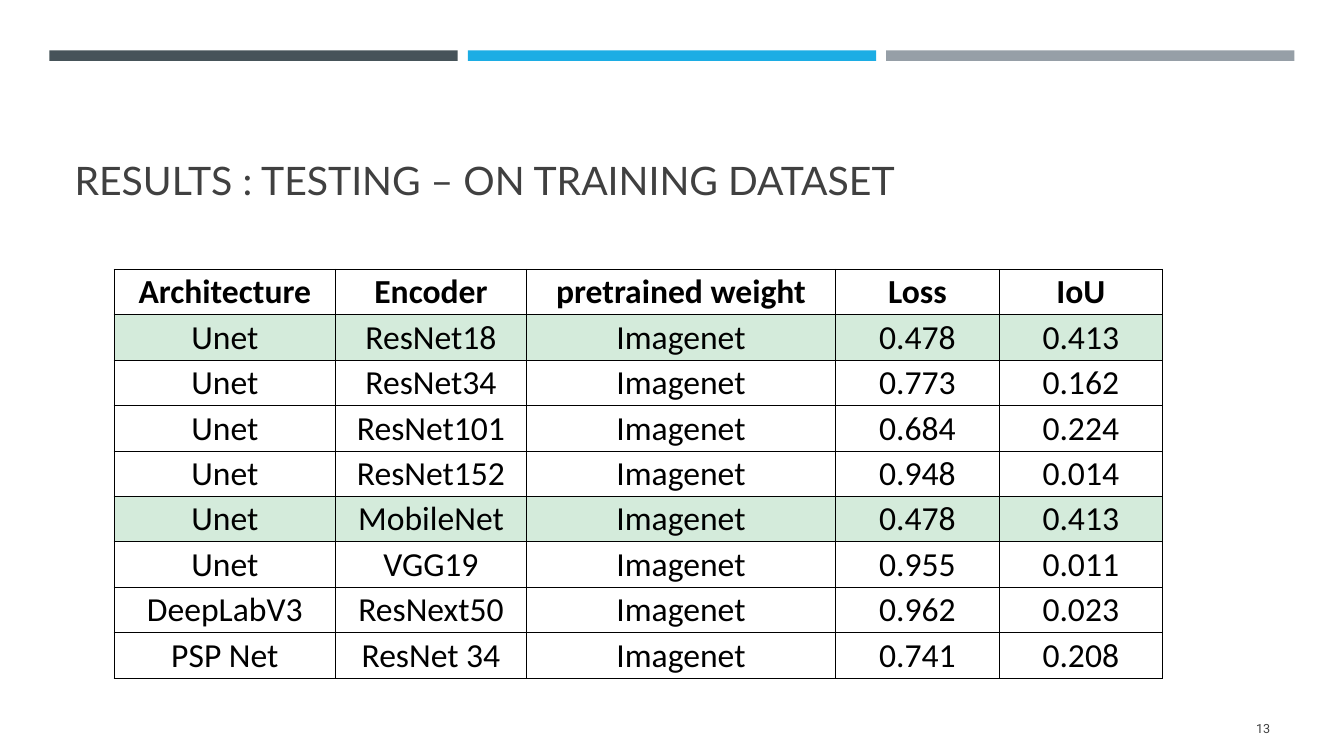
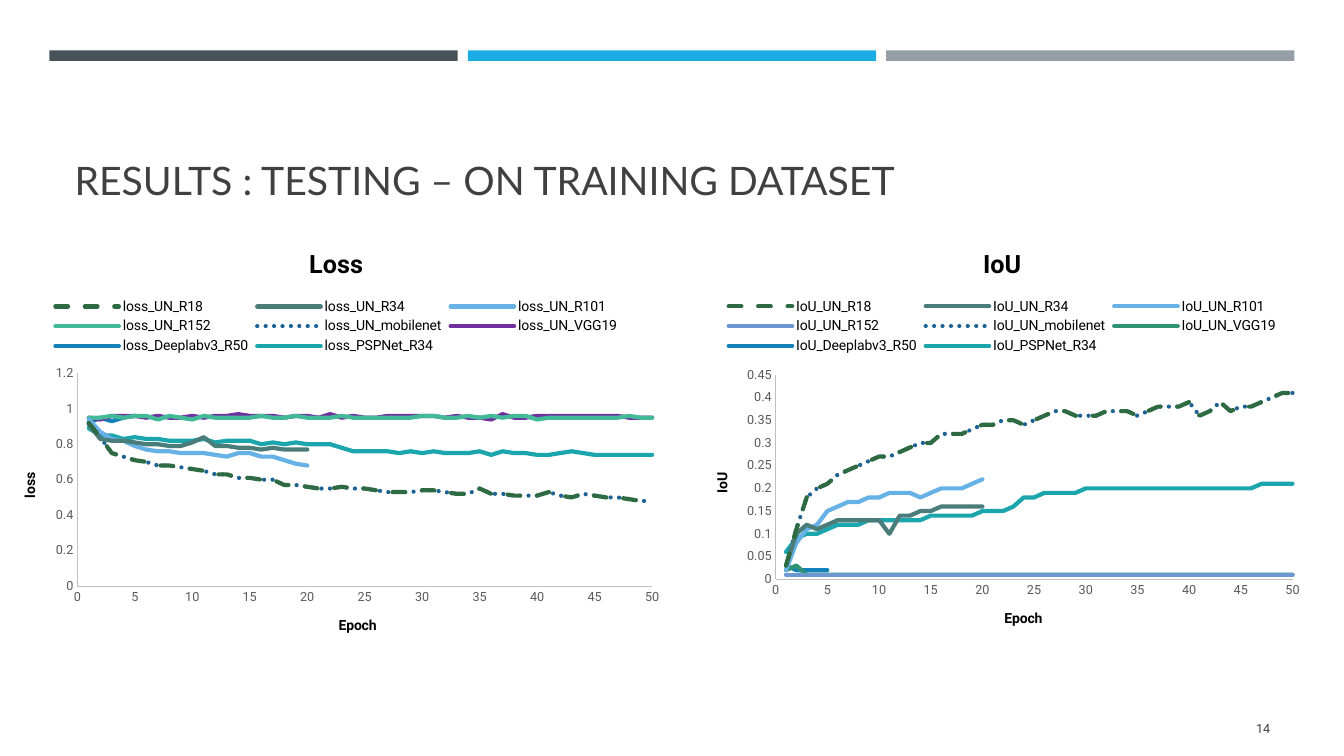
from lxml.etree import SubElement
from pptx import Presentation
from pptx.chart.data import XyChartData
from pptx.dml.color import RGBColor
from pptx.enum.chart import XL_CHART_TYPE, XL_LEGEND_POSITION, XL_TICK_MARK
from pptx.enum.dml import MSO_LINE
from pptx.enum.shapes import MSO_SHAPE
from pptx.enum.text import MSO_ANCHOR, MSO_AUTO_SIZE, PP_ALIGN
from pptx.oxml import parse_xml
from pptx.oxml.ns import nsdecls, qn
from pptx.util import Inches, Pt

TITLE = "RESULTS : TESTING – ON TRAINING DATASET"
DARK, BLACK, AXIS_TEXT, AXIS_LINE = "404040", "000000", "595959", "BFBFBF"
HIGHLIGHT = "D4EBDB"
BANDS = ["465359", "1CADE4", "969FA7"]
BAND_LEFT, BAND_STEP, BAND_WIDTH = 3.68, 31.13, 30.38

deck = Presentation()
deck.slide_width, deck.slide_height = Inches(13.33), Inches(7.5)


def paint(target, color, **values):
    """Give a shape, cell, font or line a solid colour and set its other attributes."""
    target.fill.solid()
    target.fill.fore_color.rgb = RGBColor.from_string(color)
    for name, value in values.items():
        setattr(target, name, value)


def area(left, top, width, height):
    """Turn percentages of the slide's size into lengths."""
    across, down = deck.slide_width / 100, deck.slide_height / 100
    return [int(left * across), int(top * down), int(width * across), int(height * down)]


# Shared frame of both slides
pages = []
for number in (13, 14):
    page = deck.slides.add_slide(deck.slide_layouts[5])
    pages.append(page)
    for column, color in enumerate(BANDS):
        band = page.shapes.add_shape(
            MSO_SHAPE.RECTANGLE,
            *area(BAND_LEFT + column * BAND_STEP, 6.67, BAND_WIDTH, 1.4))
        paint(band, color)
        band.line.fill.background()
        band.shadow.inherit = False

    title = page.shapes.title
    title.left, title.top, title.width, title.height = area(4.8, 10.27, 90.45, 17.33)
    footer = page.shapes.add_textbox(*area(86.62, 93.73, 8.63, 5.33))
    for box, text, anchor, alignment, font in (
        (title, TITLE, MSO_ANCHOR.BOTTOM, PP_ALIGN.LEFT, {"name": "Lato", "size": Pt(28)}),
        (footer, str(number), MSO_ANCHOR.MIDDLE, PP_ALIGN.RIGHT,
         {"name": "Roboto", "size": Pt(9)}),
    ):
        frame = box.text_frame
        frame.word_wrap, frame.auto_size = True, MSO_AUTO_SIZE.NONE
        frame.vertical_anchor = anchor
        para = frame.paragraphs[0]
        para.text, para.alignment = text, alignment
        paint(para.font, DARK, **font)

table_page, chart_page = pages

# Table of test scores
ROWS = [
    ("Architecture", "Encoder", "pretrained weight", "Loss", "IoU"),
    ("Unet", "ResNet18", "Imagenet", "0.478", "0.413"),
    ("Unet", "ResNet34", "Imagenet", "0.773", "0.162"),
    ("Unet", "ResNet101", "Imagenet", "0.684", "0.224"),
    ("Unet", "ResNet152", "Imagenet", "0.948", "0.014"),
    ("Unet", "MobileNet", "Imagenet", "0.478", "0.413"),
    ("Unet", "VGG19", "Imagenet", "0.955", "0.011"),
    ("DeepLabV3", "ResNext50", "Imagenet", "0.962", "0.023"),
    ("PSP Net", "ResNet 34", "Imagenet", "0.741", "0.208"),
]
BEST_ROWS = (1, 5)
COLUMN_SHARES = [21.15, 18.17, 29.52, 15.58, 15.58]
CELL_FORMAT = {"vertical_anchor": MSO_ANCHOR.MIDDLE, "margin_left": Inches(0.01),
               "margin_right": Inches(0.01), "margin_top": Inches(0.01), "margin_bottom": 0}

table_box = area(8.48, 35.6, 78.02, 54.13)
table = table_page.shapes.add_table(len(ROWS), len(COLUMN_SHARES), *table_box).table
table.first_row = table.horz_banding = False
for column, share in zip(table.columns, COLUMN_SHARES):
    column.width = int(table_box[2] * share / 100)
for row_index, row in enumerate(ROWS):
    for column_index, text in enumerate(row):
        cell = table.cell(row_index, column_index)
        for name, value in CELL_FORMAT.items():
            setattr(cell, name, value)
        para = cell.text_frame.paragraphs[0]
        para.text, para.alignment = text, PP_ALIGN.CENTER
        paint(para.font, BLACK, name="Calibri", size=Pt(24), bold=row_index == 0)
        properties = cell._tc.get_or_add_tcPr()
        for side in ("a:lnL", "a:lnR", "a:lnT", "a:lnB"):
            border = SubElement(properties, qn(side), w=str(Pt(0.5)))
            SubElement(SubElement(border, qn("a:solidFill")), qn("a:srgbClr"), val=BLACK)
        if row_index in BEST_ROWS:
            paint(cell, HIGHLIGHT)
        else:
            cell.fill.background()

# Training curves: one value per epoch, in hundredths
LOSS_BEST = """92 84 75 73 71 70 68 68 67 66 65 63 63 61 61 60 60 57 57 56 55 55 56 55 55
    54 53 53 53 54 54 53 52 52 55 52 52 51 51 51 53 51 50 52 51 50 50 49 48 48"""
IOU_BEST = """3 11 18 20 21 23 24 25 26 27 27 28 29 30 30 32 32 32 33 34 34 35 35 34 35
    36 37 37 36 36 36 37 37 37 36 37 38 38 38 39 36 37 39 37 38 38 39 40 41 41"""
LOSS_CURVES = [
    ("loss_UN_R18", "2F6B42", LOSS_BEST),
    ("loss_UN_R34", "4A7D79",
     "91 83 82 82 81 80 80 79 79 81 84 79 79 78 78 77 78 77 77 77"),
    ("loss_UN_R101", "66B1E6",
     "94 87 83 82 79 77 76 76 75 75 75 74 73 75 75 73 73 71 69 68"),
    ("loss_UN_R152", "42BA97",
     """95 95 96 95 96 96 94 96 95 94 96 95 95 95 95 96 95 95 96 95 95 95 96 95 95
     95 95 95 95 96 96 95 95 96 95 96 95 96 96 94 95 95 95 95 95 95 95 96 95 95"""),
    ("loss_UN_mobilenet", "1C6294", LOSS_BEST),
    ("loss_UN_VGG19", "7030A0",
     """95 94 96 96 96 95 96 95 95 96 95 96 96 97 96 96 96 95 96 96 95 97 95 96 95
     95 96 96 96 96 96 95 96 95 95 94 97 95 95 96 96 96 96 96 96 96 96 95 95 95"""),
    ("loss_Deeplabv3_R50", "1482BA", "92 95 93 95 96"),
    ("loss_PSPNet_R34", "1BA5AC",
     """89 85 85 83 84 83 83 82 82 82 83 81 82 82 82 80 81 80 81 80 80 80 78 76 76
     76 76 75 76 75 76 75 75 75 76 74 76 75 75 74 74 75 76 75 74 74 74 74 74 74"""),
]
IOU_CURVES = [
    ("IoU_UN_R18", "2F6B42", IOU_BEST),
    ("IoU_UN_R34", "4A7D79", "3 10 12 11 12 13 13 13 13 13 10 14 14 15 15 16 16 16 16 16"),
    ("IoU_UN_R101", "66B1E6", "2 8 11 12 15 16 17 17 18 18 19 19 19 18 19 20 20 20 21 22"),
    ("IoU_UN_R152", "6D97D2", "1 " * 50),
    ("IoU_UN_mobilenet", "1C6294", IOU_BEST),
    ("IoU_UN_VGG19", "2F9274", "2 3 " + "1 " * 48),
    ("IoU_Deeplabv3_R50", "1482BA", "3 2 2 2 2"),
    ("IoU_PSPNet_R34", "1BA5AC",
     "6 9 10 10 11 12 12 12 13 13 13 13 13 13 14 14 14 14 14 15 15 15 16 18 18 19 19 19 19 "
     + "20 " * 17 + "21 21 21 21"),
]
DASHES = {"R18": MSO_LINE.DASH, "mobilenet": MSO_LINE.ROUND_DOT}

# Heading, value title, slide area, plot area as shares of the chart, top value, step, curves
CHARTS = [
    ("Loss", "loss", (0, 30.27, 50.03, 56.27), (0.115, 0.34, 0.855, 0.5), 1.2, 0.2, LOSS_CURVES),
    ("IoU", "IoU", (51.54, 30.27, 46.06, 55.2), (0.134, 0.35, 0.835, 0.49), 0.45, 0.05,
     IOU_CURVES),
]
for heading, value_title, chart_box, plot_box, top_value, step, curves in CHARTS:
    chart_data = XyChartData()
    for name, color, values in curves:
        points = chart_data.add_series(name)
        for epoch, value in enumerate(values.split(), start=1):
            points.add_data_point(epoch, int(value) / 100)
    chart = chart_page.shapes.add_chart(
        XL_CHART_TYPE.XY_SCATTER_LINES_NO_MARKERS, *area(*chart_box), chart_data).chart
    paint(chart.font, BLACK, name="Roboto", size=Pt(10))

    chart.has_legend = True
    chart.legend.position = XL_LEGEND_POSITION.TOP
    chart.legend.include_in_layout = False
    paint(chart.legend.font, BLACK, name="Roboto", size=Pt(10))

    horizontal, vertical = chart.category_axis, chart.value_axis
    for owner, text, size in ((chart, heading, 18), (horizontal, "Epoch", 10),
                              (vertical, value_title, 10)):
        owner.has_title = True
        label = owner.chart_title if owner is chart else owner.axis_title
        para = label.text_frame.paragraphs[0]
        para.text = text
        paint(para.font, BLACK, name="Roboto", size=Pt(size), bold=True)

    for axis, maximum, unit in ((horizontal, 50, 5), (vertical, top_value, step)):
        for name, value in {
            "minimum_scale": 0, "maximum_scale": maximum, "major_unit": unit,
            "has_major_gridlines": False, "has_minor_gridlines": False,
            "major_tick_mark": XL_TICK_MARK.NONE, "minor_tick_mark": XL_TICK_MARK.NONE,
        }.items():
            setattr(axis, name, value)
        axis.tick_labels.number_format = "General"
        axis.tick_labels.number_format_is_linked = False
        paint(axis.tick_labels.font, AXIS_TEXT, name="Roboto", size=Pt(9))
        paint(axis.format.line, AXIS_LINE, width=Pt(0.75))

    plot = chart.plots[0]
    plot.vary_by_categories = False
    for series, (name, color, values) in zip(plot.series, curves):
        series.smooth = False
        paint(series.format.line, color, width=Pt(3),
              dash_style=DASHES.get(name.split("_")[-1]))
        series._element.find(".//" + qn("a:ln")).set("cap", "rnd")

    plot_area = chart._chartSpace.chart.plotArea
    for layout in plot_area.findall(qn("c:layout")):
        plot_area.remove(layout)
    settings = {"layoutTarget": "inner", "xMode": "edge", "yMode": "edge",
                **dict(zip("xywh", plot_box))}
    items = "".join(f'<c:{name} val="{value}"/>' for name, value in settings.items())
    plot_area.insert(0, parse_xml(
        f'<c:layout {nsdecls("c")}><c:manualLayout>{items}</c:manualLayout></c:layout>'))

deck.save("out.pptx")
